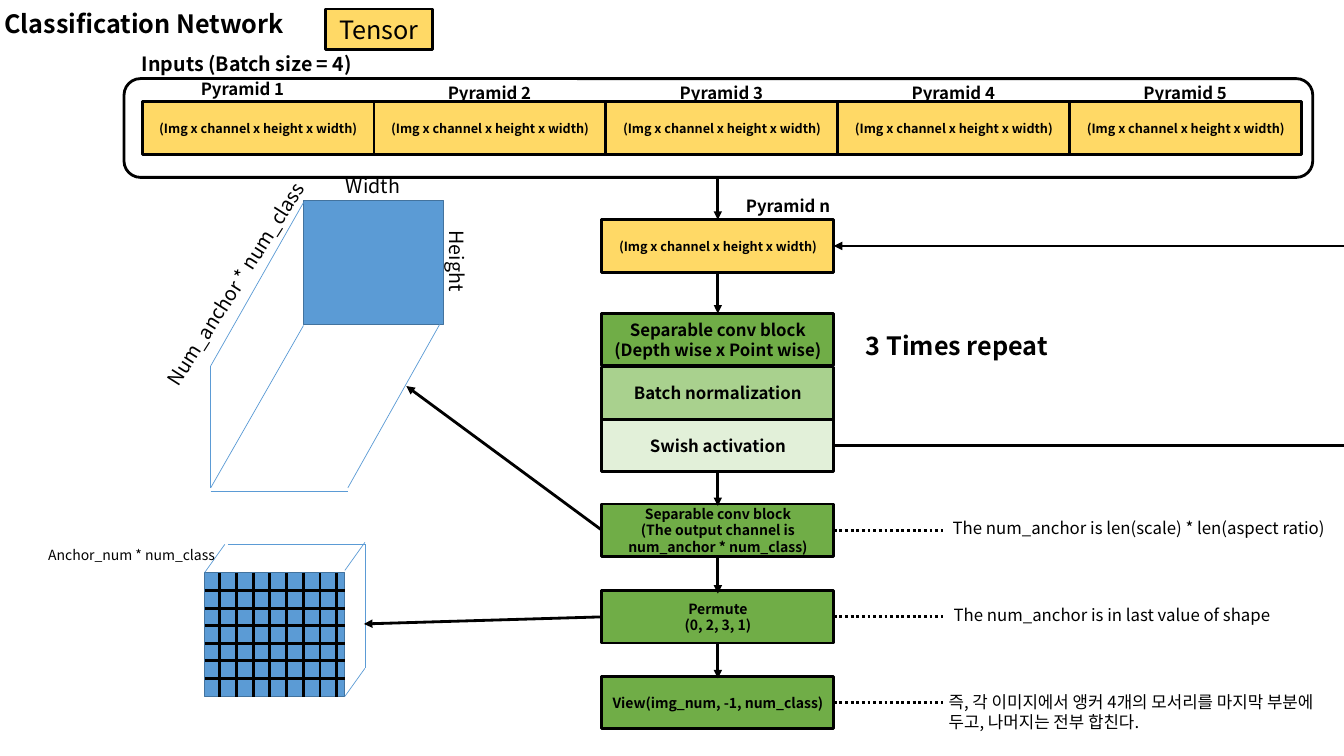
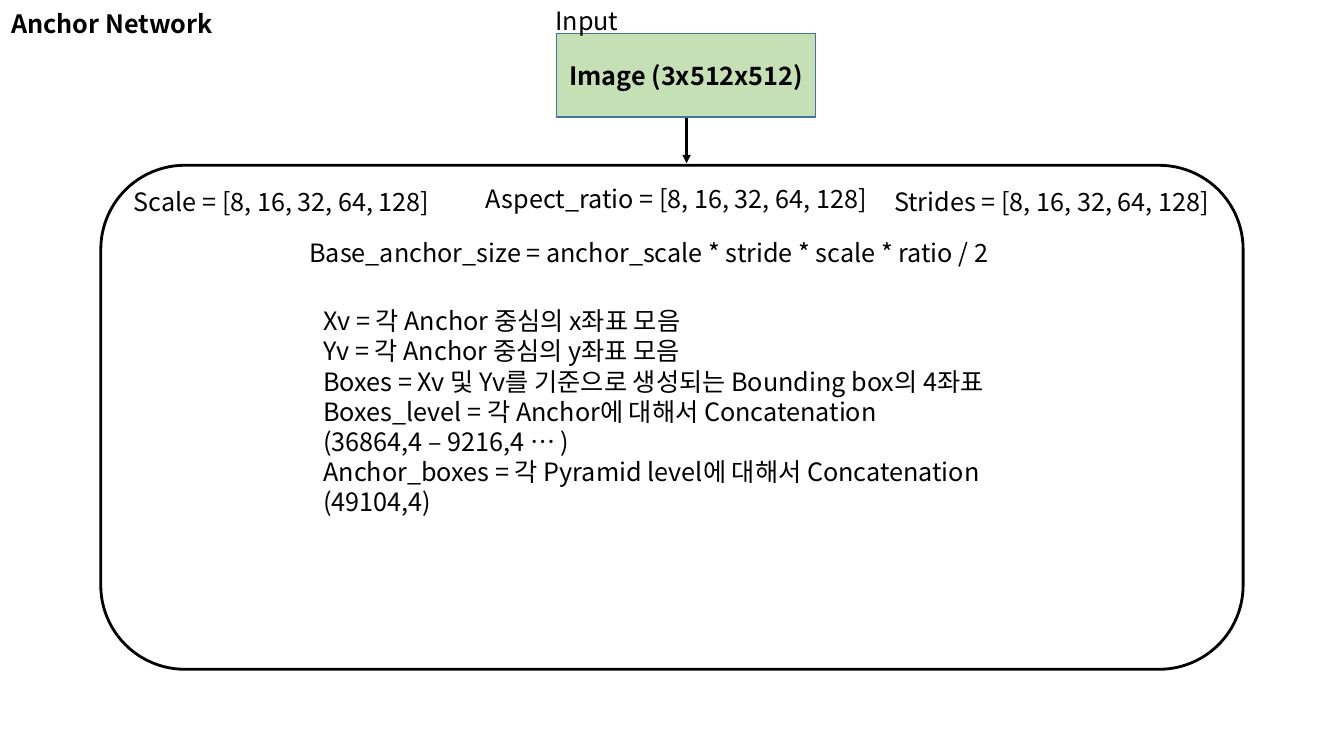
import dataclasses
import typing

import pptx
import pptx.dml.color
import pptx.enum.dml
import pptx.enum.shapes
import pptx.enum.text
import pptx.oxml
import pptx.oxml.ns
import pptx.util

Inches = pptx.util.Inches
RGBColor = pptx.dml.color.RGBColor
ShapeKind = pptx.enum.shapes.MSO_SHAPE
Align = pptx.enum.text.PP_ALIGN
Anchor = pptx.enum.text.MSO_ANCHOR

FONT = "Noto Sans CJK KR"
BLACK = RGBColor(0x00, 0x00, 0x00)
YELLOW = RGBColor(0xFF, 0xD9, 0x66)
GREEN = RGBColor(0x70, 0xAD, 0x47)
MID_GREEN = RGBColor(0xA9, 0xD1, 0x8E)
LIGHT_GREEN = RGBColor(0xE2, 0xF0, 0xD9)
IMAGE_GREEN = RGBColor(0xC5, 0xE0, 0xB4)
BLUE = RGBColor(0x5B, 0x9B, 0xD5)
DARK_BLUE = RGBColor(0x43, 0x73, 0x9E)

SLIDE_WIDTH = 13.33
BLOCK_LEFT, BLOCK_WIDTH, BLOCK_HEIGHT = 5.97, 2.3, 0.52
BLOCK_RIGHT = BLOCK_LEFT + BLOCK_WIDTH
BLOCK_CENTER = BLOCK_LEFT + BLOCK_WIDTH / 2
TENSOR_TEXT = "(Img x channel x height x width)"


@dataclasses.dataclass(frozen=True)
class Box:
    left: float
    top: float
    width: float
    height: float
    text: str = ""
    size: float = 12
    bold: bool = True
    fill: typing.Optional[RGBColor] = None
    line: RGBColor = BLACK
    line_width: float = 2
    kind: ShapeKind = ShapeKind.RECTANGLE


@dataclasses.dataclass(frozen=True)
class Label:
    left: float
    top: float
    width: float
    height: float
    text: str
    size: float = 12
    bold: bool = False
    align: Align = Align.LEFT
    rotation: float = 0


@dataclasses.dataclass(frozen=True)
class Line:
    x1: float
    y1: float
    x2: float
    y2: float
    color: RGBColor = BLACK
    width: float = 2
    arrow: bool = False
    dotted: bool = False


def write_text(frame, text: str, *, size: float, bold: bool = False,
               align: Align = Align.LEFT, anchor: Anchor = Anchor.TOP) -> None:
    frame.word_wrap = True
    frame.vertical_anchor = anchor
    for index, content in enumerate(text.split("\n")):
        paragraph = frame.add_paragraph() if index else frame.paragraphs[0]
        paragraph.alignment = align
        run = paragraph.add_run()
        run.text = content
        run.font.name = FONT
        run.font.size = pptx.util.Pt(size)
        run.font.bold = bold
        run.font.color.rgb = BLACK
        properties = run.font._element
        east_asian = pptx.oxml.parse_xml(
            f'<a:ea {pptx.oxml.ns.nsdecls("a")} typeface="{FONT}"/>')
        properties.find(pptx.oxml.ns.qn("a:latin")).addnext(east_asian)


def draw_box(slide, box: Box) -> None:
    shape = slide.shapes.add_shape(box.kind, Inches(box.left), Inches(box.top),
                                   Inches(box.width), Inches(box.height))
    shape.shadow.inherit = False
    if box.fill is None:
        shape.fill.background()
    else:
        shape.fill.solid()
        shape.fill.fore_color.rgb = box.fill
    shape.line.color.rgb = box.line
    shape.line.width = pptx.util.Pt(box.line_width)
    if box.text:
        write_text(shape.text_frame, box.text, size=box.size, bold=box.bold,
                   align=Align.CENTER, anchor=Anchor.MIDDLE)


def draw_label(slide, label: Label) -> None:
    shape = slide.shapes.add_textbox(Inches(label.left), Inches(label.top),
                                     Inches(label.width), Inches(label.height))
    shape.rotation = label.rotation
    write_text(shape.text_frame, label.text, size=label.size, bold=label.bold,
               align=label.align)


def draw_line(slide, line: Line) -> None:
    connector = slide.shapes.add_connector(
        pptx.enum.shapes.MSO_CONNECTOR.STRAIGHT,
        Inches(line.x1), Inches(line.y1), Inches(line.x2), Inches(line.y2))
    connector.line.color.rgb = line.color
    connector.line.width = pptx.util.Pt(line.width)
    if line.dotted:
        connector.line.dash_style = pptx.enum.dml.MSO_LINE.ROUND_DOT
    namespace = pptx.oxml.ns.nsdecls("a")
    if line.arrow:
        connector.line._get_or_add_ln().append(
            pptx.oxml.parse_xml(f'<a:tailEnd {namespace} type="triangle"/>'))
    connector._element.spPr.append(pptx.oxml.parse_xml(f"<a:effectLst {namespace}/>"))


def draw_all(slide, items: typing.Iterable[typing.Union[Box, Label, Line]]) -> None:
    painters = {Box: draw_box, Label: draw_label, Line: draw_line}
    for item in items:
        painters[type(item)](slide, item)


def add_titled_slide(presentation, title: str, left: float):
    slide = presentation.slides.add_slide(presentation.slide_layouts.get_by_name("Title Only"))
    shape = slide.shapes.title
    shape.left, shape.top = Inches(left), Inches(0.03)
    shape.width, shape.height = Inches(4.18), Inches(0.4)
    shape.text_frame.auto_size = pptx.enum.text.MSO_AUTO_SIZE.NONE
    write_text(shape.text_frame, title, size=18, bold=True, align=Align.CENTER)
    return slide


def tensor(left: float, top: float) -> Box:
    return Box(left, top, BLOCK_WIDTH, BLOCK_HEIGHT, TENSOR_TEXT, 9, fill=YELLOW)


def block(top: float, text: str, size: float, fill: RGBColor = GREEN) -> Box:
    return Box(BLOCK_LEFT, top, BLOCK_WIDTH, BLOCK_HEIGHT, text, size, fill=fill)


def caption(left: float, top: float, text: str) -> Label:
    return Label(left, top, 1.65, 0.3, text, bold=True, align=Align.CENTER)


def edge(x1: float, y1: float, x2: float, y2: float) -> Line:
    return Line(x1, y1, x2, y2, BLUE, 0.5)


def draw_inputs(slide) -> None:
    draw_all(slide, [
        Box(1.23, 0.78, 11.79, 0.98, kind=ShapeKind.ROUNDED_RECTANGLE),
        Label(1.27, 0.47, 2.36, 0.81, "Inputs (Batch size = 4)", 14, True, Align.CENTER),
        Box(3.23, 0.09, 1.06, 0.4, "Tensor", 18, False, YELLOW),
    ])
    for index in range(5):
        draw_box(slide, tensor(1.41 + index * BLOCK_WIDTH, 1.01))
    draw_label(slide, caption(1.58, 0.73, "Pyramid 1"))
    for index in range(4):
        draw_label(slide, caption(4.03 + index * BLOCK_WIDTH, 0.77, f"Pyramid {index + 2}"))


def draw_flow(slide) -> None:
    draw_all(slide, [
        tensor(BLOCK_LEFT, 2.18),
        block(3.11, "Separable conv block\n(Depth wise x Point wise)", 12),
        block(3.64, "Batch normalization", 12, MID_GREEN),
        block(4.16, "Swish activation", 12, LIGHT_GREEN),
        block(5, "Separable conv block\n(The output channel is num_anchor * num_class)", 10),
        block(5.86, "Permute\n(0, 2, 3, 1)", 10),
        block(6.71, "View(img_num, -1, num_class)", 10),
        Line(BLOCK_RIGHT, 4.42, SLIDE_WIDTH, 4.42),
        Line(SLIDE_WIDTH, 2.44, BLOCK_RIGHT, 2.44, arrow=True),
        Label(8.31, 3.23, 2.36, 0.4, "3 Times repeat", 18, True, Align.CENTER),
        caption(6.99, 1.89, "Pyramid n"),
        Label(9.35, 5.09, 4.02, 0.3, "The num_anchor is len(scale) * len(aspect ratio)"),
        Label(9.36, 5.95, 4.02, 0.3, "The num_anchor is in last value of shape"),
        Label(9.31, 6.81, 4.02, 0.5,
              "즉, 각 이미지에서 앵커 4개의 모서리를 마지막 부분에 두고, 나머지는 전부 합친다."),
    ])
    for start, end in [(1.76, 2.18), (2.7, 3.11), (4.68, 5.02), (5.54, 5.89), (6.39, 6.73)]:
        draw_line(slide, Line(BLOCK_CENTER, start, BLOCK_CENTER, end, arrow=True))
    for y in (5.26, 6.12, 6.97):
        draw_line(slide, Line(BLOCK_RIGHT, y, 9.35, y, dotted=True))


def draw_output_volume(slide) -> None:
    draw_all(slide, [
        Box(3.01, 1.99, 1.39, 1.23, fill=BLUE, line=DARK_BLUE, line_width=1),
        edge(3.01, 2.01, 2.09, 3.63),
        edge(3.01, 3.23, 2.09, 4.84),
        edge(4.36, 3.22, 3.45, 4.84),
        edge(2.09, 3.63, 2.09, 4.84),
        edge(2.09, 4.87, 3.45, 4.87),
        Label(1.06, 2.63, 2.59, 0.34, "Num_anchor * num_class", 14, rotation=302.5),
        Label(3.2, 1.68, 1, 0.34, "Width", 14, align=Align.CENTER),
        Label(4.03, 2.42, 1, 0.34, "Height", 14, align=Align.CENTER, rotation=90),
        Line(BLOCK_LEFT, 5.26, 4.03, 3.83, arrow=True),
    ])


def draw_permuted_volume(slide) -> None:
    left, top, right, bottom = 2.03, 5.68, 3.42, 6.91
    draw_box(slide, Box(left, top, right - left, bottom - top,
                        fill=BLUE, line=DARK_BLUE, line_width=1))
    for index in range(6):
        y = 5.86 + index * 0.87 / 5
        draw_line(slide, Line(left, y, right, y))
    for index in range(8):
        x = 2.18 + index * 1.16 / 7
        draw_line(slide, Line(x, top, x, bottom))
    draw_all(slide, [
        edge(left, top, 2.23, 5.4),
        edge(right, 5.66, 3.62, 5.38),
        edge(right, bottom, 3.62, 6.63),
        edge(2.26, 5.4, 3.62, 5.4),
        edge(3.62, 5.4, 3.62, 6.63),
        Label(0.38, 5.37, 2.14, 0.44, "Anchor_num * num_class", 10),
        Line(BLOCK_LEFT, 6.12, 3.61, 6.19, arrow=True),
    ])


def build_classification_slide(presentation) -> None:
    slide = add_titled_slide(presentation, "Classification Network", -0.66)
    draw_inputs(slide)
    draw_flow(slide)
    draw_output_volume(slide)
    draw_permuted_volume(slide)


def build_anchor_slide(presentation) -> None:
    slide = add_titled_slide(presentation, "Anchor Network", -0.98)
    sizes = "[8, 16, 32, 64, 128]"
    steps = "\n".join([
        "Xv = 각 Anchor 중심의 x좌표 모음",
        "Yv = 각 Anchor 중심의 y좌표 모음",
        "Boxes = Xv 및 Yv를 기준으로 생성되는 Bounding box의 4좌표",
        "Boxes_level = 각 Anchor에 대해서 Concatenation",
        "(36864,4 – 9216,4 … )",
        "Anchor_boxes = 각 Pyramid level에 대해서 Concatenation",
        "(49104,4)",
    ])
    draw_all(slide, [
        Box(5.52, 0.33, 2.57, 0.83, "Image (3x512x512)", 18,
            fill=IMAGE_GREEN, line=DARK_BLUE, line_width=1),
        Label(5.41, 0, 1, 0.4, "Input", 18),
        Line(6.81, 1.17, 6.81, 1.62, arrow=True),
        Box(1, 1.64, 11.33, 5, kind=ShapeKind.ROUNDED_RECTANGLE),
        Label(8.77, 1.8, 4.18, 0.4, f"Strides = {sizes}", 18),
        Label(4.72, 1.77, 4.18, 0.4, f"Aspect_ratio = {sizes}", 18),
        Label(1.23, 1.8, 4.18, 0.4, f"Scale = {sizes}", 18),
        Label(2.97, 2.31, 7.4, 0.4,
              "Base_anchor_size = anchor_scale * stride * scale * ratio / 2", 18),
        Label(3.11, 2.98, 7.4, 2.22, steps, 18),
    ])


def main() -> None:
    presentation = pptx.Presentation()
    presentation.slide_width = Inches(SLIDE_WIDTH)
    presentation.slide_height = Inches(7.5)
    build_classification_slide(presentation)
    build_anchor_slide(presentation)
    presentation.save("out.pptx")


main()
